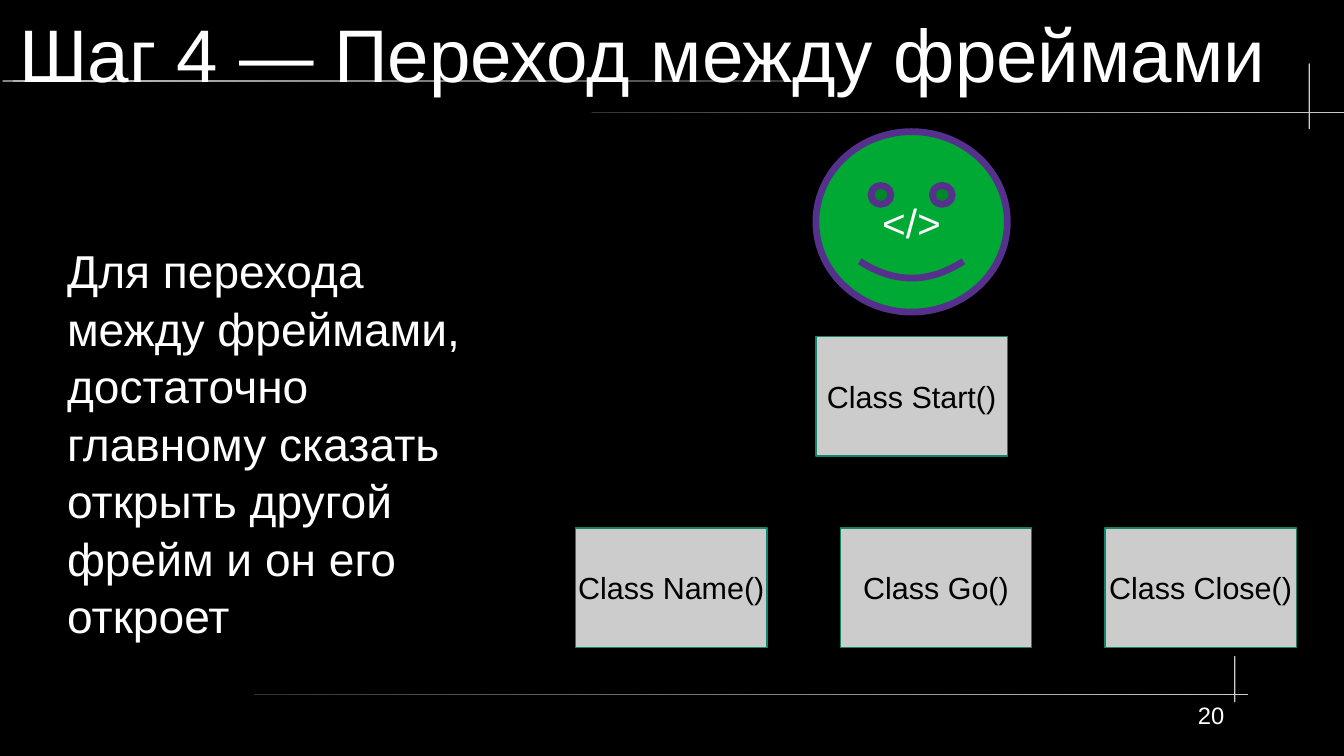
from typing import NamedTuple

from lxml.etree import SubElement
from pptx import Presentation
from pptx.dml.color import RGBColor
from pptx.enum.shapes import MSO_SHAPE
from pptx.enum.text import MSO_ANCHOR, MSO_AUTO_SIZE, PP_ALIGN
from pptx.oxml.ns import qn
from pptx.util import Inches, Pt

BLACK = RGBColor(0x00, 0x00, 0x00)
WHITE = RGBColor(0xFF, 0xFF, 0xFF)
LIGHT = RGBColor(0xCC, 0xCC, 0xCC)
DARK = RGBColor(0x33, 0x33, 0x33)
GREEN = RGBColor(0x00, 0xA9, 0x33)
PURPLE = RGBColor(0x55, 0x30, 0x8D)
TEAL = RGBColor(0x15, 0x84, 0x66)


class Box(NamedTuple):
    left: float
    top: float
    width: float
    height: float

    def lengths(self) -> list:
        return [Inches(value) for value in self]


class Rule(NamedTuple):
    box: Box
    start: RGBColor
    end: RGBColor


class Node(NamedTuple):
    label: str
    box: Box
    preset: MSO_SHAPE = MSO_SHAPE.RECTANGLE
    fill: RGBColor = LIGHT
    outline: RGBColor = TEAL
    weight: float = 0.85
    size: float = 18
    color: RGBColor = BLACK


def remove_bullet(paragraph) -> None:
    properties = paragraph._p.get_or_add_pPr()
    properties.set("marL", "0")
    properties.set("indent", "0")
    SubElement(properties, qn("a:buNone"))


def style_paragraph(paragraph, size: float, color: RGBColor, align) -> None:
    paragraph.alignment = align
    paragraph.font.name = "Arial"
    paragraph.font.size = Pt(size)
    paragraph.font.color.rgb = color


def set_text(shape, text: str, size: float, color: RGBColor = WHITE,
             align=PP_ALIGN.LEFT, anchor=MSO_ANCHOR.TOP,
             margins: tuple = (0, 0), wrap: bool = True) -> None:
    frame = shape.text_frame
    frame.text = text
    frame.word_wrap = wrap
    frame.auto_size = MSO_AUTO_SIZE.NONE
    frame.vertical_anchor = anchor
    frame.margin_left = frame.margin_right = Inches(margins[0])
    frame.margin_top = frame.margin_bottom = Inches(margins[1])
    if shape.is_placeholder:
        remove_bullet(frame.paragraphs[0])
    style_paragraph(frame.paragraphs[0], size, color, align)


def place(shape, box: Box) -> None:
    shape.left, shape.top, shape.width, shape.height = box.lengths()


def draw_rule(slide, rule: Rule) -> None:
    bar = slide.shapes.add_shape(MSO_SHAPE.ROUNDED_RECTANGLE, *rule.box.lengths())
    bar.adjustments[0] = 0.5
    bar.shadow.inherit = False
    bar.line.fill.background()
    if rule.start == rule.end:
        bar.fill.solid()
        bar.fill.fore_color.rgb = rule.start
    else:
        bar.fill.gradient()
        bar.fill.gradient_angle = 0
        for stop, color in zip(bar.fill.gradient_stops, (rule.start, rule.end)):
            stop.color.rgb = color
    # Rules lie behind the title
    slide.shapes.title.element.addprevious(bar.element)


def draw_node(slide, node: Node) -> None:
    shape = slide.shapes.add_shape(node.preset, *node.box.lengths())
    shape.shadow.inherit = False
    shape.fill.solid()
    shape.fill.fore_color.rgb = node.fill
    shape.line.color.rgb = node.outline
    shape.line.width = Pt(node.weight)
    set_text(shape, node.label, node.size, node.color, PP_ALIGN.CENTER,
             MSO_ANCHOR.MIDDLE, (0.1, 0.05), wrap=False)


RULES = [
    Rule(Box(0.02, 0.66, 6.69, 0.01), LIGHT, DARK),
    Rule(Box(4.85, 0.92, 6.21, 0.01), DARK, LIGHT),
    Rule(Box(10.73, 0.52, 0.01, 0.54), LIGHT, LIGHT),
    Rule(Box(2.08, 5.69, 8.15, 0.01), DARK, LIGHT),
    Rule(Box(10.12, 5.38, 0.01, 0.38), LIGHT, LIGHT),
]
NODE_WIDTH, NODE_HEIGHT = 1.57, 0.98
START_LEFT = 6.69
FRAMES_LEFT, FRAMES_TOP, FRAMES_PITCH = 4.72, 4.33, 2.17
FRAMES = ["Class Name()", "Class Go()", "Class Close()"]


def main() -> None:
    prs = Presentation()
    prs.slide_width, prs.slide_height = Inches(11.02), Inches(6.2)
    slide = prs.slides.add_slide(prs.slide_layouts[1])
    slide.background.fill.solid()
    slide.background.fill.fore_color.rgb = BLACK

    # Title and decorative rules
    title = slide.shapes.title
    place(title, Box(0.16, 0.08, 10.43, 0.71))
    set_text(title, "Шаг 4 — Переход между фреймами", 44, anchor=MSO_ANCHOR.MIDDLE)
    for rule in RULES:
        draw_rule(slide, rule)

    # Explanation without a bullet
    explanation = slide.placeholders[1]
    place(explanation, Box(0.55, 1.97, 3.58, 2.56))
    set_text(explanation, "Для перехода между фреймами, достаточно главному "
             "сказать открыть другой фрейм и он его откроет", 27.2)
    paragraph = explanation.text_frame.paragraphs[0]
    paragraph.space_before = Pt(0)
    paragraph.line_spacing = 1.04

    # Main program, start frame and the frames it opens
    draw_node(slide, Node("</>", Box(START_LEFT, 1.08, NODE_WIDTH, 1.48),
                          MSO_SHAPE.SMILEY_FACE, GREEN, PURPLE, 4, 24, WHITE))
    draw_node(slide, Node("Class Start()",
                          Box(START_LEFT, 2.76, NODE_WIDTH, NODE_HEIGHT)))
    for column, label in enumerate(FRAMES):
        left = FRAMES_LEFT + column * FRAMES_PITCH
        draw_node(slide, Node(label, Box(left, FRAMES_TOP, NODE_WIDTH, NODE_HEIGHT)))

    # Slide number
    number = slide.shapes.add_textbox(*Box(8.27, 5.75, 1.77, 0.45).lengths())
    set_text(number, "20", 14, align=PP_ALIGN.RIGHT)

    prs.save("out.pptx")


if __name__ == "__main__":
    main()
